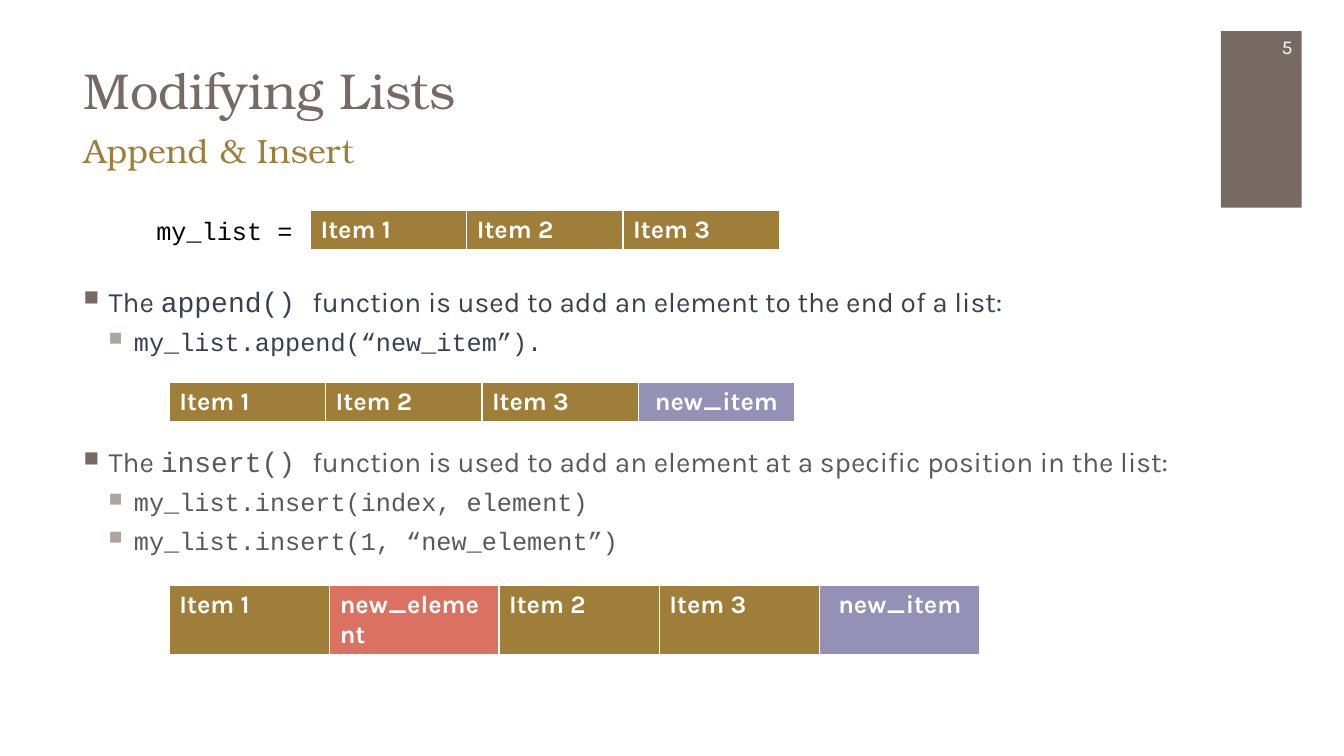
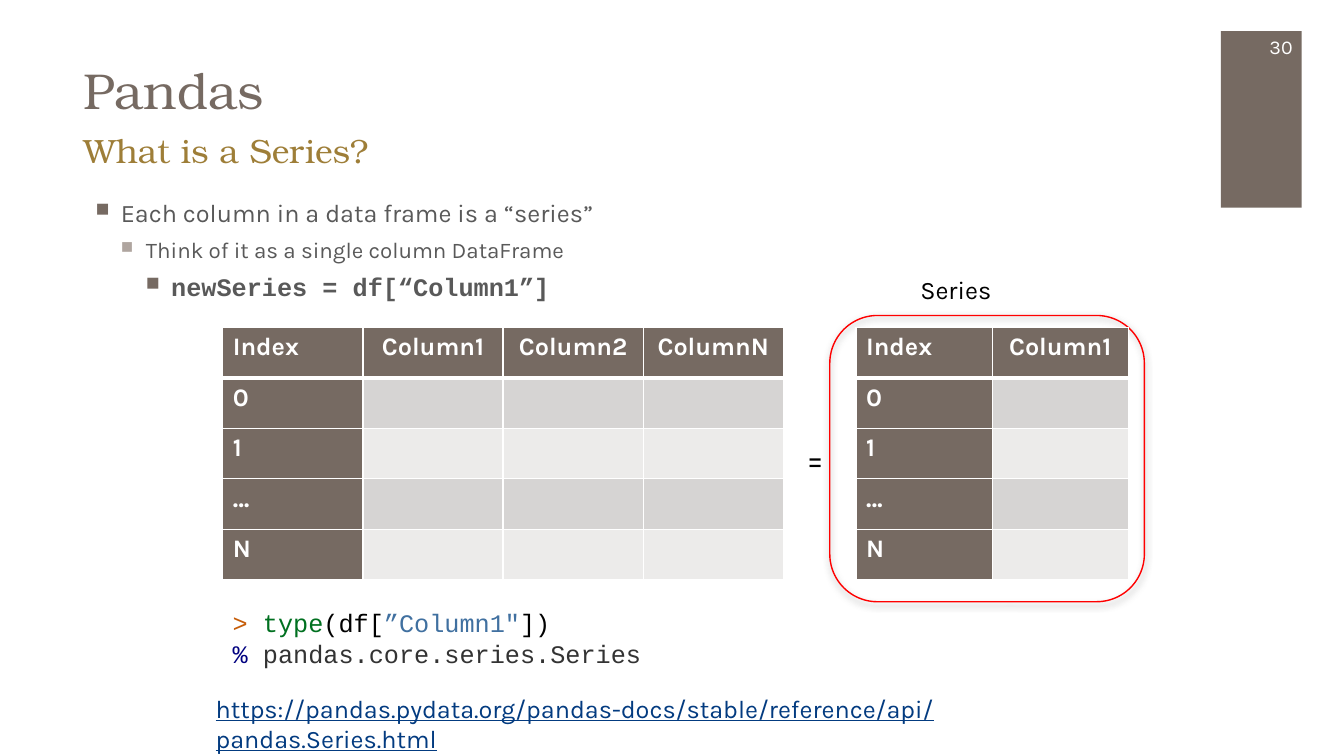
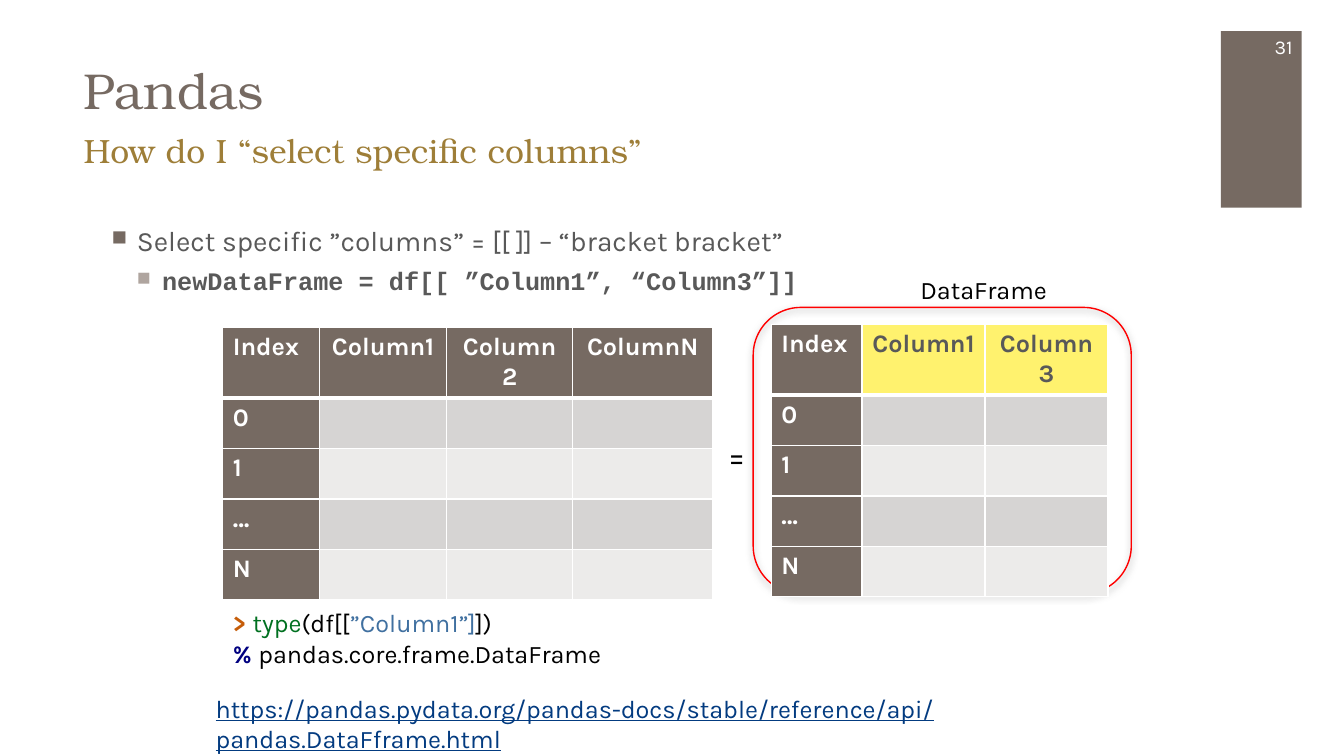
from collections import namedtuple

from lxml import etree
from pptx import Presentation
from pptx.dml.color import RGBColor
from pptx.enum.shapes import MSO_SHAPE
from pptx.enum.text import MSO_ANCHOR, MSO_AUTO_SIZE, PP_ALIGN
from pptx.oxml.ns import qn
from pptx.util import Inches, Pt

LEFT, CENTER, RIGHT = PP_ALIGN.LEFT, PP_ALIGN.CENTER, PP_ALIGN.RIGHT
TOP, MIDDLE, BOTTOM = MSO_ANCHOR.TOP, MSO_ANCHOR.MIDDLE, MSO_ANCHOR.BOTTOM
RECTANGLE, ROUNDED = MSO_SHAPE.RECTANGLE, MSO_SHAPE.ROUNDED_RECTANGLE
NO_AUTOFIT = MSO_AUTO_SIZE.NONE


class Theme:
    brown, gold, purple, coral, yellow = "766A62", "9E7E38", "9490B6", "DB7160", "FFF26E"
    slate, grey, pale_brown = "374151", "595959", "AFA59F"
    band_dark, band_light = "D6D4D3", "ECEBEA"
    white, black, red, link = "FFFFFF", "000000", "FF0000", "033B80"
    prompt, keyword, string, output, result = "C65D09", "007020", "4070A0", "000080", "333333"
    shadow = "808080"
    serif, sans, mono = "TeX Gyre Bonum", "Karla", "Courier New"
    title, subtitle, large, body, small, number = 36, 24, 20, 18, 16, 14


Span = namedtuple("Span", "text color size font bold underline",
                  defaults=[Theme.black, Theme.body, Theme.sans, False, False])
Line = namedtuple("Line", "spans level before align", defaults=[None, 0, LEFT])
Cell = namedtuple("Cell", "text fill align color", defaults=[LEFT, Theme.white])


def add_text(page, place, lines, anchor=TOP):
    """Add a text box; a line with a level gets a square bullet."""
    box = page.shapes.add_textbox(*map(Inches, place))
    frame = box.text_frame
    frame.word_wrap = True
    frame.vertical_anchor = anchor
    for index, line in enumerate(lines):
        para = frame.paragraphs[0] if index == 0 else frame.add_paragraph()
        if line.level is not None:
            props = para._p.get_or_add_pPr()
            props.set("marL", str(Inches(0.25 * (line.level + 1))))
            props.set("indent", str(Inches(-0.25)))
            bullet_color = etree.SubElement(props, qn("a:buClr"))
            etree.SubElement(bullet_color, qn("a:srgbClr"),
                             val=Theme.pale_brown if line.level == 1 else Theme.brown)
            etree.SubElement(props, qn("a:buSzPct"), val="75000")
            etree.SubElement(props, qn("a:buChar"), char="■")
        para.alignment = line.align
        para.space_before = Pt(line.before)
        for span in line.spans:
            run = para.add_run()
            run.text = span.text
            run.font.name = span.font
            run.font.size = Pt(span.size)
            run.font.bold = span.bold
            run.font.underline = span.underline
            run.font.color.rgb = RGBColor.from_string(span.color)


def add_grid(page, left, top, widths, row_height, rows):
    """Add a table with white rules, the one under the first row heavier."""
    grid = page.shapes.add_table(len(rows), len(widths), Inches(left), Inches(top),
                                 Inches(sum(widths)), Inches(row_height * len(rows))).table
    grid.horz_banding = False
    for column, width in zip(grid.columns, widths):
        column.width = Inches(width)
    for row_index, row in enumerate(rows):
        grid.rows[row_index].height = Inches(row_height)
        for column_index, content in enumerate(row):
            cell = grid.cell(row_index, column_index)
            cell.fill.solid()
            cell.fill.fore_color.rgb = RGBColor.from_string(content.fill)
            para = cell.text_frame.paragraphs[0]
            para.text = content.text
            para.alignment = content.align
            for font in [para.font] + [run.font for run in para.runs]:
                font.name = Theme.sans
                font.size = Pt(Theme.body)
                font.bold = True
                font.color.rgb = RGBColor.from_string(content.color)
            props = cell._tc.get_or_add_tcPr()
            for position, side in enumerate(("lnL", "lnR", "lnT", "lnB")):
                heavy = (side == "lnB" and row_index == 0) or (side == "lnT" and row_index == 1)
                rule = etree.Element(qn("a:" + side), w=str(Pt(3 if heavy else 1)))
                fill = etree.SubElement(rule, qn("a:solidFill"))
                etree.SubElement(fill, qn("a:srgbClr"), val=Theme.white)
                props.insert(position, rule)


deck = Presentation()
deck.slide_width, deck.slide_height = Inches(13.33), Inches(7.5)

# Title, subtitle and numbered band of every slide
pages = []
for title_text, subtitle_text, number in (
    ("Modifying Lists", "Append & Insert", "5"),
    ("Pandas", "What is a Series?", "30"),
    ("Pandas", "How do I “select specific columns”", "31"),
):
    page = deck.slides.add_slide(deck.slide_layouts[5])
    pages.append(page)
    band = page.shapes.add_shape(RECTANGLE, Inches(12.11), Inches(0.31), Inches(0.8), Inches(1.75))
    band.shadow.inherit = False
    band.fill.solid()
    band.fill.fore_color.rgb = RGBColor.from_string(Theme.brown)
    band.line.fill.background()

    title = page.shapes.title
    title.left, title.top, title.width, title.height = map(Inches, (0.73, 0.15, 11.02, 1.09))
    title.text_frame.text = title_text
    title.text_frame.auto_size = NO_AUTOFIT
    title.text_frame.vertical_anchor = BOTTOM
    para = title.text_frame.paragraphs[0]
    para.alignment = LEFT
    font = para.runs[0].font
    font.name, font.size = Theme.serif, Pt(Theme.title)
    font.color.rgb = RGBColor.from_string(Theme.brown)

    add_text(page, (0.73, 1.24, 11.02, 0.85),
             [Line([Span(subtitle_text, Theme.gold, Theme.subtitle, Theme.serif)])])
    add_text(page, (12.11, 0.26, 0.81, 0.4),
             [Line([Span(number, Theme.white, Theme.number)], align=RIGHT)], MIDDLE)

lists_page, series_page, columns_page = pages

# Lists: explanation of append and insert
body_lines = []
for name, purpose, examples, color, before in (
    ("append() ", "function is used to add an element to the end of a list:",
     ["my_list.append(“new_item”)."], Theme.slate, 0),
    ("insert() ", "function is used to add an element at a specific position in the list:",
     ["my_list.insert(index, element)", "my_list.insert(1, “new_element”)"], Theme.grey, 63),
):
    body_lines.append(Line([Span("The ", color, Theme.large),
                            Span(name, color, Theme.large, Theme.mono),
                            Span(purpose, color, Theme.large)], 0, before))
    for example in examples:
        body_lines.append(Line([Span(example, color, font=Theme.mono)], 1, 6))
add_text(lists_page, (0.73, 2.77, 11.02, 3), body_lines)

# Lists: the list before and after each call
add_text(lists_page, (1.39, 2.09, 1.82, 0.4),
         [Line([Span("my_list = ", font=Theme.mono)], align=CENTER)])
items = [Cell(f"Item {count}", Theme.gold) for count in (1, 2, 3)]
new_item = Cell("new_item", Theme.purple, CENTER)
new_element = Cell("new_element", Theme.coral)
for left, top, widths, row in (
    (3.08, 2.09, [1.55] * 3, items),
    (1.68, 3.79, [1.55] * 4, items + [new_item]),
    (1.68, 5.81, [1.59, 1.68, 1.59, 1.59, 1.59],
     items[:1] + [new_element] + items[1:] + [new_item]),
):
    add_grid(lists_page, left, top, widths, 0.4, [row])

# Pandas: bullets
add_text(series_page, (0.85, 1.91, 11, 1.2), [
    Line([Span("Each column in a data frame is a “series”", Theme.grey)], 0),
    Line([Span("Think of it as a single column DataFrame", Theme.grey, Theme.small)], 1, 6),
    Line([Span("newSeries = df[“Column1”]", Theme.grey, font=Theme.mono, bold=True)], 2, 6),
])
add_text(columns_page, (1.01, 2.17, 9.46, 0.77), [
    Line([Span("Select specific ”columns” = [[ ]] – “bracket bracket”", Theme.grey, Theme.large)], 0),
    Line([Span("newDataFrame = df[[ ”Column1”, “Column3”]]", Theme.grey, font=Theme.mono,
               bold=True)], 1, 6),
])

# Pandas: data frame, ringed selection and its label
for page, widths, ring_place, label, picked, picked_place, picked_widths, picked_style, equals_place in (
    (series_page, [1.39] * 4, (8.23, 3.13, 3.12, 2.84), "Series", ["Column1"],
     (8.49, 3.25), [1.35] * 2, (Theme.brown, CENTER, Theme.white), (7.9, 4.3)),
    (columns_page, [0.96, 1.26, 1.25, 1.39], (7.47, 3.05, 3.75, 2.84), "DataFrame",
     ["Column1", "Column3"], (7.65, 3.22), [0.9, 1.22, 1.22],
     (Theme.yellow, CENTER, Theme.grey), (7.12, 4.27)),
):
    frame_style = (Theme.brown, CENTER, Theme.white)
    grids = []
    for names, style in ((["Column1", "Column2", "ColumnN"], frame_style), (picked, picked_style)):
        rows = [[Cell("Index", Theme.brown)] + [Cell(name, *style) for name in names]]
        for index, key in enumerate(("0", "1", "…", "N")):
            shade = Theme.band_light if index % 2 else Theme.band_dark
            rows.append([Cell(key, Theme.brown)] + [Cell("", shade)] * len(names))
        grids.append(rows)

    add_grid(page, 2.21, 3.25, widths, 0.5, grids[0])
    ring = page.shapes.add_shape(ROUNDED, *map(Inches, ring_place))
    ring.fill.background()
    ring.line.color.rgb = RGBColor.from_string(Theme.red)
    ring.line.width = Pt(1)
    effects = etree.SubElement(ring._element.spPr, qn("a:effectLst"))
    shadow = etree.SubElement(effects, qn("a:outerShdw"), blurRad=str(Pt(5)), dist=str(Pt(2)),
                              dir="5400000", rotWithShape="0")
    shadow_color = etree.SubElement(shadow, qn("a:srgbClr"), val=Theme.shadow)
    etree.SubElement(shadow_color, qn("a:alpha"), val="75000")
    add_text(page, (9.03, 2.67, 1.56, 0.4), [Line([Span(label)])])
    add_grid(page, *picked_place, picked_widths, 0.5, grids[1])
    add_text(page, (*equals_place, 0.42, 0.5), [Line([Span("=", size=Theme.subtitle)])])

# Pandas: console lines and reference
for page, font, strong, opening, string, closing, result, color, link, link_width in (
    (series_page, Theme.mono, False, "(df[", "”Column1\"", "])", "pandas.core.series.Series",
     Theme.result, "pandas.Series.html", 9.01),
    (columns_page, Theme.sans, True, "(df[[", "”Column1”]", "])", "pandas.core.frame.DataFrame",
     Theme.black, "pandas.DataFframe.html", 9.63),
):
    add_text(page, (2.21, 5.98, 5, 0.71), [
        Line([Span("> ", Theme.prompt, font=font, bold=strong),
              Span("type", Theme.keyword, font=font),
              Span(opening, font=font),
              Span(string, Theme.string, font=font),
              Span(closing, font=font)]),
        Line([Span("% ", Theme.output, font=font, bold=strong),
              Span(result, color, font=font)]),
    ])
    add_text(page, (2.04, 6.83, link_width, 0.4), [
        Line([Span("https://pandas.pydata.org/pandas-docs/stable/reference/api/" + link,
                   Theme.link, underline=True)]),
    ])

deck.save("out.pptx")
